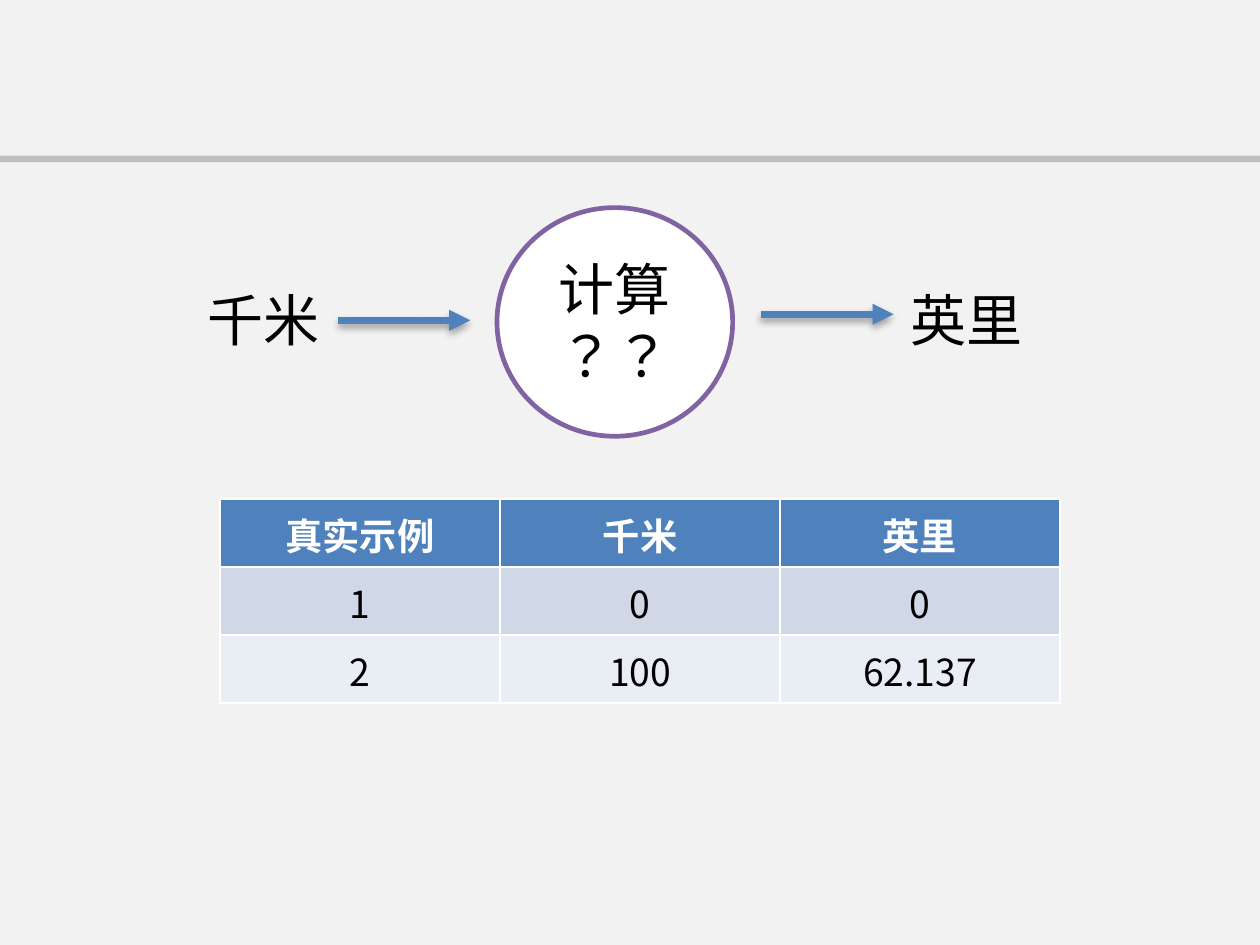
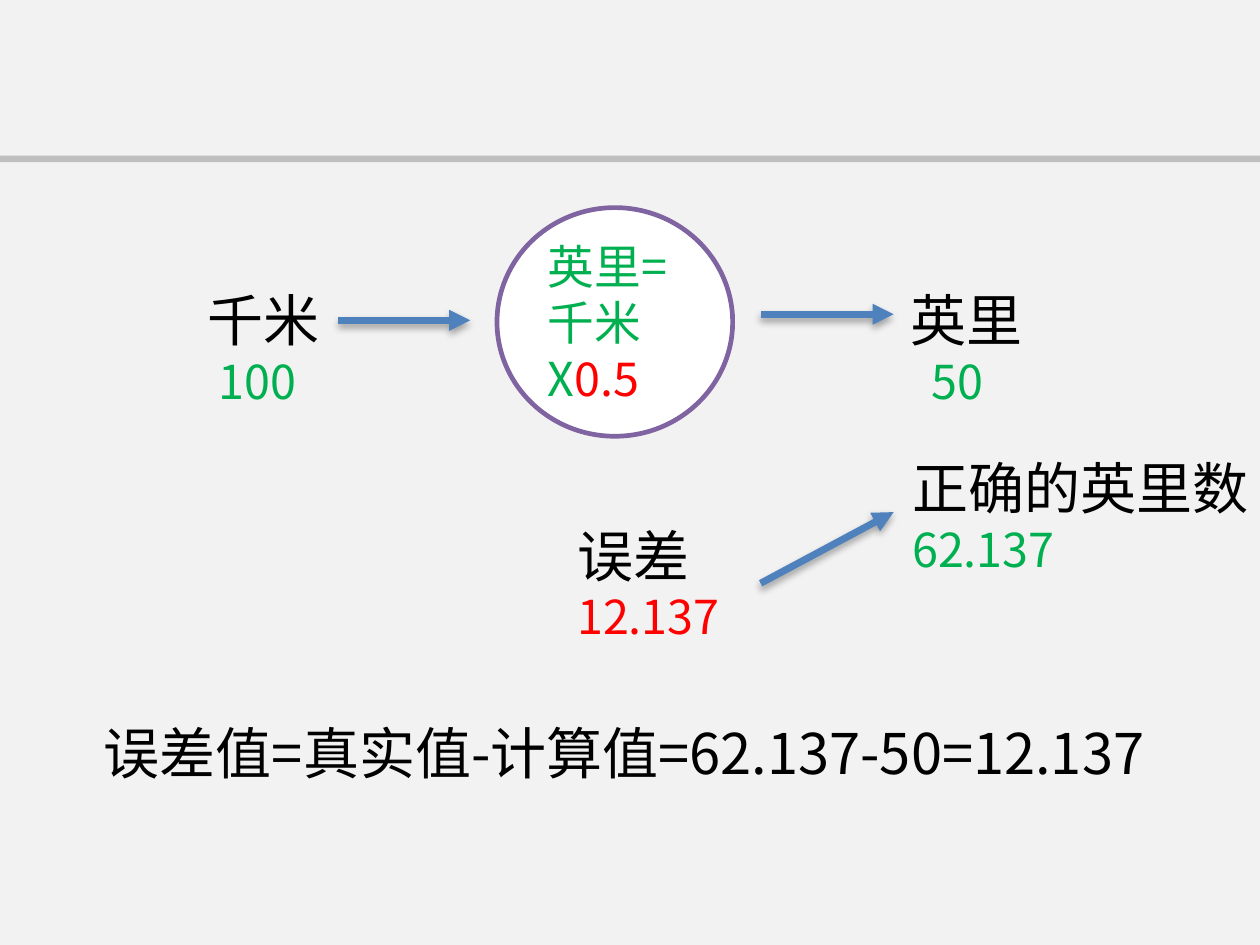
from lxml import etree
from pptx import Presentation
from pptx import util as u
from pptx.dml.color import RGBColor
from pptx.enum import shapes, text
from pptx.oxml import parse_xml
from pptx.oxml.ns import nsdecls, qn

Pt = u.Pt
HUE = {
    "page": "F2F2F2", "band": "BFBFBF", "white": "FFFFFF", "black": "000000",
    "ring": "8064A2", "blue": "4F81BD", "odd": "D0D8E8", "even": "E9EDF4",
    "green": "00B050", "red": "FF0000",
}
FACE = "Noto Sans CJK KR"
MID = text.PP_ALIGN.CENTER
SHADE = (
    f'<a:effectLst {nsdecls("a")}>'
    '<a:outerShdw blurRad="40000" dist="23000" dir="5400000" rotWithShape="0">'
    f'<a:srgbClr val="{HUE["black"]}"><a:alpha val="35000"/></a:srgbClr>'
    '</a:outerShdw></a:effectLst>'
)


def tint(name):
    return RGBColor.from_string(HUE[name])


class Deck:
    def __init__(self):
        self.prs = Presentation()
        self.prs.slide_width, self.prs.slide_height = Pt(540), Pt(405)
        back = self.prs.slide_master.background.fill
        back.solid()
        back.fore_color.rgb = tint("page")

    def page(self):
        self.slide = self.prs.slides.add_slide(self.prs.slide_layouts[6])
        self.shape(shapes.MSO_SHAPE.RECTANGLE, (0, 66.7, 540, 2.8), "band")

    def shape(self, kind, box, fill, line=None):
        item = self.slide.shapes.add_shape(kind, *map(Pt, box))
        item.shadow.inherit = False
        item.fill.solid()
        item.fill.fore_color.rgb = tint(fill)
        if line:
            item.line.color.rgb = tint(line)
            item.line.width = Pt(2)
        else:
            item.line.fill.background()
        return item

    def style(self, para, size, hue, bold=False, align=None, indent=0):
        if indent:
            para._p.get_or_add_pPr().set("marL", str(Pt(indent)))
        para.alignment = align or text.PP_ALIGN.LEFT
        font = para.font
        font.size, font.bold, font.name = Pt(size), bold, FACE
        font.color.rgb = tint(hue)
        rule = para._p.pPr.find(qn("a:defRPr"))
        etree.SubElement(rule, qn("a:ea")).set("typeface", FACE)

    def put(self, frame, lines):
        for i, (words, look) in enumerate(lines):
            para = frame.add_paragraph() if i else frame.paragraphs[0]
            para.text = words
            self.style(para, **look)

    def ring(self, lines):
        kind = shapes.MSO_SHAPE.FLOWCHART_CONNECTOR
        item = self.shape(kind, (213, 89, 101, 98), "white", "ring")
        frame = item.text_frame
        frame.vertical_anchor = text.MSO_ANCHOR.MIDDLE
        self.put(frame, lines)
        return frame

    def label(self, left, top, width, title, value=None, hue="green", indent=0):
        lines = [(title, {"size": 24, "hue": "black"})]
        if value:
            lines.append((value, {"size": 20, "hue": hue, "indent": indent}))
        height = 60.5 if value else 36
        item = self.slide.shapes.add_textbox(*map(Pt, (left, top, width, height)))
        frame = item.text_frame
        frame.word_wrap = True
        frame.auto_size = text.MSO_AUTO_SIZE.SHAPE_TO_FIT_TEXT
        self.put(frame, lines)

    def arrow(self, *ends):
        item = self.slide.shapes.add_connector(
            shapes.MSO_CONNECTOR.STRAIGHT, *map(Pt, ends))
        item.line.color.rgb = tint("blue")
        item.line.width = Pt(3)
        etree.SubElement(item.line._ln, qn("a:tailEnd")).set("type", "triangle")
        item._element.spPr.append(parse_xml(SHADE))

    def flow(self, miles=None, kilos=None):
        self.label(82, 119, 73.5, "千米", kilos, indent=4.5)
        self.label(383, 119, 73.5, "英里", miles, indent=9)
        self.arrow(145, 137.3, 201.5, 137.3)
        self.arrow(326, 134.7, 383, 134.7)

    def table(self, left, top, width, high, rows):
        grid = self.slide.shapes.add_table(
            len(rows), len(rows[0]), Pt(left), Pt(top),
            Pt(width), Pt(high * len(rows))).table
        fills = ["blue", "odd", "even"]
        for r, row in enumerate(rows):
            for c, words in enumerate(row):
                cell = grid.cell(r, c)
                cell.fill.solid()
                cell.fill.fore_color.rgb = tint(fills[r])
                cell.vertical_anchor = text.MSO_ANCHOR.MIDDLE
                look = {"size": 16, "hue": "black" if r else "white",
                        "bold": r == 0, "align": MID}
                self.put(cell.text_frame, [(words, look)])


def main():
    deck = Deck()

    deck.page()
    look = {"size": 24, "hue": "black", "align": MID}
    deck.ring([("计算", look), ("？？", look)])
    deck.flow()
    deck.table(94.3, 213.8, 360, 29.2, [
        ("真实示例", "千米", "英里"),
        ("1", "0", "0"),
        ("2", "100", "62.137"),
    ])

    deck.page()
    frame = deck.ring([("英里=千米X", {"size": 20, "hue": "green"})])
    rate = frame.paragraphs[0].add_run()
    rate.text = "0.5"
    rate.font.color.rgb = tint("red")
    deck.flow("50", "100")
    deck.label(37.5, 304.5, 479.5, "误差值=真实值-计算值=62.137-50=12.137")
    deck.label(240.3, 219.8, 86.5, "误差", "12.137", "red")
    deck.arrow(326, 250, 383, 219.5)
    deck.label(383.8, 190.8, 170, "正确的英里数", "62.137")

    deck.prs.save("out.pptx")


if __name__ == "__main__":
    main()
